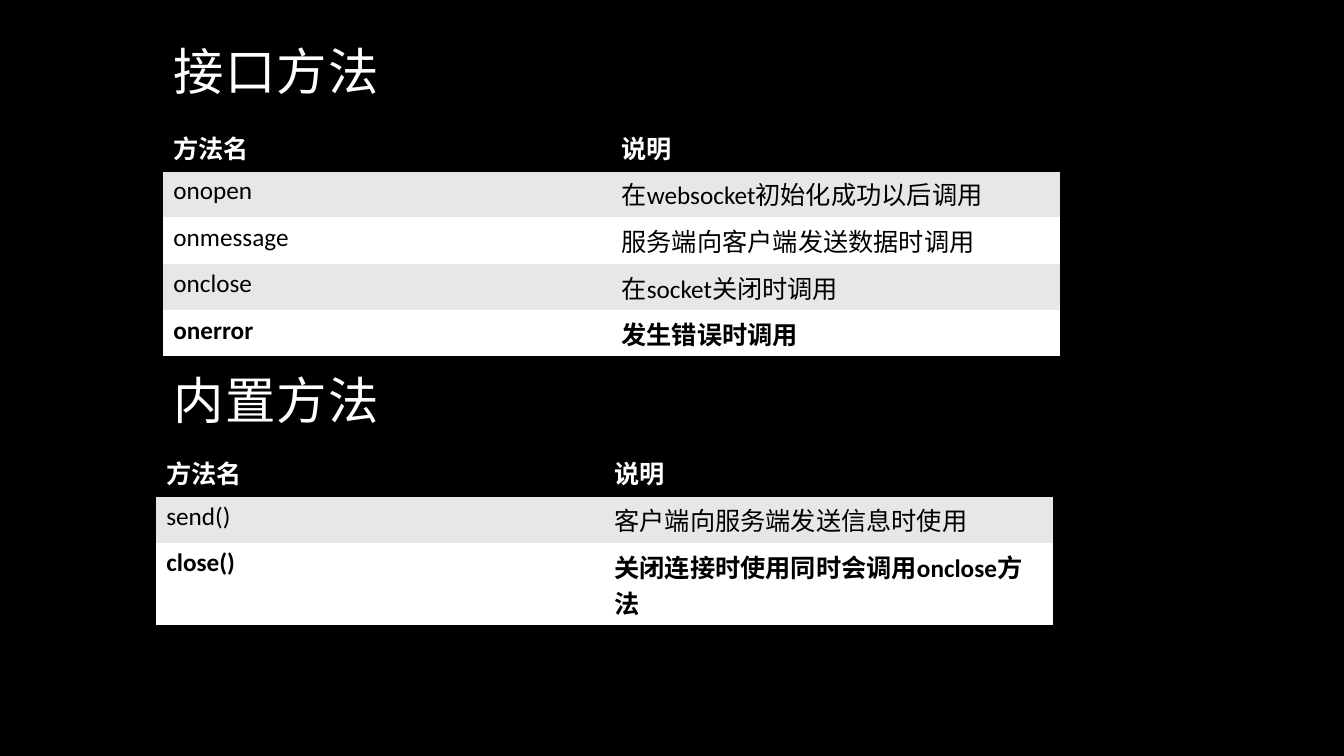
import pptx
import pptx.dml.color
import pptx.enum.text
import pptx.oxml
import pptx.oxml.ns
import pptx.util

Inches = pptx.util.Inches
Pt = pptx.util.Pt

COLORS = {"black": "000000", "white": "FFFFFF", "band": "E7E7E7"}
LATIN_FONT = "Calibri"
CHINESE_FONT = "Noto Sans CJK SC"
PLAIN_TABLE_STYLE = "{2D5ABB26-0587-4C30-8999-92F81FD0307C}"
ROW_HEIGHT = 0.41

INTERFACE_METHODS = [
    ("方法名", "说明"),
    ("onopen", "在websocket初始化成功以后调用"),
    ("onmessage", "服务端向客户端发送数据时调用"),
    ("onclose", "在socket关闭时调用"),
    ("onerror", "发生错误时调用"),
]
BUILT_IN_METHODS = [
    ("方法名", "说明"),
    ("send()", "客户端向服务端发送信息时使用"),
    ("close()", "关闭连接时使用同时会调用onclose方法"),
]


def color(name):
    return pptx.dml.color.RGBColor.from_string(COLORS[name])


def format_span(span, size, font, color_name, bold=False):
    span.font.size = Pt(size)
    span.font.name = font
    span.font.bold = bold
    span.font.color.rgb = color(color_name)
    east_asian = pptx.oxml.parse_xml(
        f'<a:ea {pptx.oxml.ns.nsdecls("a")} typeface="{CHINESE_FONT}"/>')
    span.font._element.find(pptx.oxml.ns.qn("a:latin")).addnext(east_asian)


def write_heading(box, text, left, top, width, height):
    box.left, box.top = Inches(left), Inches(top)
    box.width, box.height = Inches(width), Inches(height)
    frame = box.text_frame
    frame.text = text
    frame.word_wrap = True
    frame.auto_size = pptx.enum.text.MSO_AUTO_SIZE.NONE
    frame.vertical_anchor = pptx.enum.text.MSO_ANCHOR.BOTTOM
    para = frame.paragraphs[0]
    para.alignment = pptx.enum.text.PP_ALIGN.LEFT
    para.line_spacing = 0.9
    span = para.runs[0]
    format_span(span, 36, CHINESE_FONT, "white")
    span.font._element.set("spc", "100")


def add_border(cell, side):
    """Rule a 2 pt black line on one side: lnT or lnB."""
    line = pptx.oxml.parse_xml(
        f'<a:{side} {pptx.oxml.ns.nsdecls("a")} w="{Pt(2)}"><a:solidFill>'
        f'<a:srgbClr val="{COLORS["black"]}"/></a:solidFill></a:{side}>')
    properties = cell._tc.get_or_add_tcPr()
    properties.insert(0, line)


def add_method_table(page, methods, left, top, width):
    frame = page.shapes.add_table(
        len(methods), 2, Inches(left), Inches(top),
        Inches(width), Inches(ROW_HEIGHT * len(methods)))
    table = frame.table
    table._tbl.tblPr.find(pptx.oxml.ns.qn("a:tableStyleId")).text = PLAIN_TABLE_STYLE
    last = len(methods) - 1
    for row, texts in enumerate(methods):
        table.rows[row].height = Inches(ROW_HEIGHT)
        if row == 0:
            fill = "black"
        else:
            fill = "band" if row % 2 else "white"
        for column, text in enumerate(texts):
            cell = table.cell(row, column)
            cell.text_frame.text = text
            format_span(cell.text_frame.paragraphs[0].runs[0], 18, LATIN_FONT,
                        "white" if row == 0 else "black", row in (0, last))
            cell.fill.solid()
            cell.fill.fore_color.rgb = color(fill)
            # Lines around the header and under the last row
            if row in (0, last):
                add_border(cell, "lnB")
            if row == 0:
                add_border(cell, "lnT")


def build_methods_page(deck):
    page = deck.slides.add_slide(deck.slide_layouts[5])
    page.background.fill.solid()
    page.background.fill.fore_color.rgb = color("black")

    # Interface methods
    write_heading(page.shapes.title, "接口方法", 1.62, 0.29, 10, 0.77)
    add_method_table(page, INTERFACE_METHODS, 1.62, 1.23, 8.89)

    # Built-in methods
    box = page.shapes.add_textbox(0, 0, 0, 0)
    write_heading(box, "内置方法", 1.62, 3.67, 2.28, 0.65)
    add_method_table(page, BUILT_IN_METHODS, 1.55, 4.46, 8.89)


def main():
    deck = pptx.Presentation()
    deck.slide_width, deck.slide_height = Inches(13.33), Inches(7.5)
    build_methods_page(deck)
    deck.save("out.pptx")


if __name__ == "__main__":
    main()
